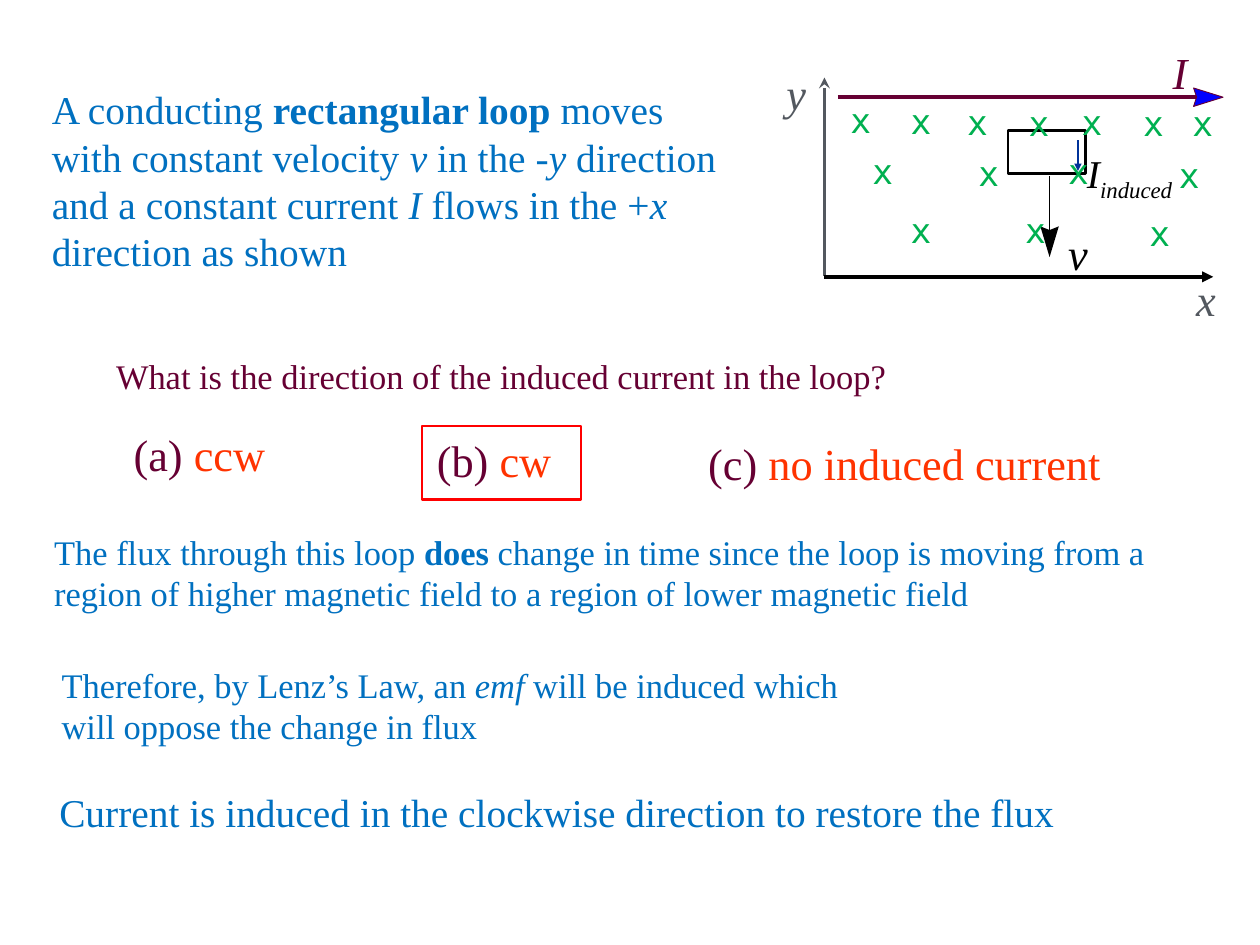
import pptx
import pptx.dml.color
import pptx.enum.shapes
import pptx.enum.text
import pptx.oxml
import pptx.oxml.ns
import pptx.util

COLORS = {
    "blue": "0070C0", "plum": "660033", "orange": "FF3300", "red": "FF0000",
    "gray": "53585F", "black": "000000", "pure_blue": "0000FF",
    "navy": "003399", "green": "00B050",
}
COLUMNS, ROWS = 1024, 768
CELL = pptx.util.Pt(1)
SERIF, MONO = "Times New Roman", "DejaVu Sans Mono"
NARROW, ROOMY, EVEN, NONE = (7.2, 3.6), (11.5, 5.8), (4.3, 4.3), (0, 0)
ITALIC, BOLD = {"italic": True}, {"bold": True}
CROSSES = [
    (53, 34), (102, 35), (148, 36), (198, 36.5), (241, 36), (291, 36.5), (331, 37),
    (71, 76), (157, 77), (230, 76), (320, 79),
    (102, 124), (195, 124), (296, 126),
]


def rgb(name):
    return pptx.dml.color.RGBColor.from_string(COLORS[name])


def cells(*counts):
    return [round(count * CELL) for count in counts]


def inside(box, left, top, width, height):
    return box[0] + left, box[1] + top, width, height


def add_text(page, box, spans, size=36, color="blue", font=SERIF, center=False,
             wrap=False, insets=NARROW, spacing=None, middle=False):
    frame = page.shapes.add_textbox(*cells(*box)).text_frame
    frame.word_wrap = wrap
    frame.auto_size = pptx.enum.text.MSO_AUTO_SIZE.SHAPE_TO_FIT_TEXT
    frame.margin_left = frame.margin_right = cells(insets[0])[0]
    frame.margin_top = frame.margin_bottom = cells(insets[1])[0]
    if middle:
        frame.vertical_anchor = pptx.enum.text.MSO_ANCHOR.MIDDLE
    para = frame.paragraphs[0]
    align = pptx.enum.text.PP_ALIGN
    para.alignment = align.CENTER if center else align.LEFT
    if spacing:
        para.line_spacing = spacing
    for text, style in spans:
        span = para.add_run()
        span.text = text
        span.font.name = font
        span.font.size = pptx.util.Pt(size)
        span.font.bold = style.get("bold", False)
        span.font.italic = style.get("italic", False)
        span.font.color.rgb = rgb(style.get("color", color))
        if "baseline" in style:
            span._r.get_or_add_rPr().set("baseline", style["baseline"])


def add_outline(page, box, color):
    kind = pptx.enum.shapes.MSO_SHAPE.RECTANGLE
    shape = page.shapes.add_shape(kind, *cells(*box))
    shape.shadow.inherit = False
    shape.fill.background()
    shape.line.color.rgb = rgb(color)
    shape.line.width = pptx.util.Pt(2)


def add_line(page, box, start, end, color, weight, head=None):
    kind = pptx.enum.shapes.MSO_CONNECTOR.STRAIGHT
    ends = [box[0] + start[0], box[1] + start[1], box[0] + end[0], box[1] + end[1]]
    line = page.shapes.add_connector(kind, *cells(*ends))
    line.line.color.rgb = rgb(color)
    line.line.width = pptx.util.Pt(weight)
    if head:
        tail = pptx.oxml.parse_xml(
            f'<a:tailEnd {pptx.oxml.ns.nsdecls("a")} type="{head}"/>')
        line.line._get_or_add_ln().append(tail)
    line._element.spPr.append(
        pptx.oxml.parse_xml(f'<a:effectLst {pptx.oxml.ns.nsdecls("a")}/>'))


def add_arrowhead(page, box, points, fill, edge=None):
    corners = [cells(box[0] + x, box[1] + y) for x, y in points]
    builder = page.shapes.build_freeform(*corners[0])
    builder.add_line_segments(corners[1:], close=True)
    shape = builder.convert_to_shape()
    shape.shadow.inherit = False
    shape.fill.solid()
    shape.fill.fore_color.rgb = rgb(fill)
    if edge:
        shape.line.color.rgb = rgb(edge)
        shape.line.width = pptx.util.Pt(0.75)
    else:
        shape.line.fill.background()


def add_problem(page, box):
    add_text(page, box, [
        ("A conducting ", {}), ("rectangular loop ", BOLD),
        ("moves with constant velocity ", {}), ("v", ITALIC),
        (" in the -", {}), ("y", ITALIC),
        (" direction and a constant current ", {}), ("I", ITALIC),
        (" flows in the +", {}), ("x", ITALIC),
        (" direction as shown", {}),
    ], size=32, wrap=True)


def add_question(page, box):
    add_text(page, inside(box, 0, 0, 654, 41),
             [(" What is the direction of the induced current in the loop?", {})],
             size=28, color="plum", center=True)
    answers = [
        (19, 61, 132, "(a) ", "ccw"),
        (266, 66, 117, "(b) ", "cw"),
        (485, 69, 346, "(c)", " no induced current"),
    ]
    for left, top, width, letter, answer in answers:
        add_text(page, inside(box, left, top, width, 51),
                 [(letter, {}), (answer, {"color": "orange"})],
                 color="plum", center=True, insets=ROOMY, spacing=0.9)
    add_outline(page, inside(box, 266, 61, 129, 60), "red")


def add_explanation(page, box):
    add_text(page, inside(box, 0, 0, 949, 75), [
        ("The flux through this loop ", {}), ("does", BOLD),
        (" change in time since the loop is moving from a region of higher "
         "magnetic field to a region of lower magnetic field", {}),
    ], size=28, wrap=True)
    add_text(page, inside(box, 6, 108, 674, 75), [
        ("Therefore, by Lenz’s Law, an ", {}), ("emf", ITALIC),
        (" will be induced which will oppose the change in flux", {}),
    ], size=28, wrap=True)
    add_text(page, inside(box, 0, 209, 832, 46),
             [("Current is induced in the clockwise direction to restore the flux", {})],
             size=32, center=True)


def add_diagram(page, box):
    add_outline(page, inside(box, 192, 64, 63, 35), "black")
    add_line(page, box, (226, 101), (226, 149), "black", 1)
    add_arrowhead(page, box, [(218.5, 142), (226, 145), (233.5, 142), (226, 167)],
                  "black")
    add_line(page, box, (54, 37), (350, 37), "plum", 3)
    add_arrowhead(page, box, [(343, 44.5), (345.5, 37), (343, 29.5), (367, 37)],
                  "pure_blue", "plum")
    add_line(page, box, (43, 182), (43, 21), "gray", 3, "stealth")
    add_line(page, box, (43, 183), (359, 183), "black", 3, "triangle")
    labels = [
        ("x", (333, 179, 40, 50), "gray", ROOMY),
        ("y", (0, 11, 40, 50), "gray", ROOMY),
        ("v", (241, 147, 16, 39), "black", NONE),
        ("I", (326, 0, 12, 39), "plum", NONE),
    ]
    for letter, place, color, insets in labels:
        add_text(page, inside(box, *place), [(letter, ITALIC)], color=color,
                 center=True, insets=insets, spacing=0.89)
    add_line(page, box, (249, 72), (249, 97), "navy", 1.5, "triangle")
    add_text(page, inside(box, 244, 76, 94, 46),
             [("I", ITALIC), ("induced", {"italic": True, "baseline": "-25000"})],
             size=32, color="black", center=True)
    for left, top in CROSSES:
        add_text(page, inside(box, left, top, 39, 42), [("x", {})], size=28,
                 color="green", font=MONO, center=True, wrap=True, insets=EVEN,
                 middle=True)


def main():
    deck = pptx.Presentation()
    deck.slide_width, deck.slide_height = cells(COLUMNS, ROWS)
    page = deck.slides.add_slide(deck.slide_layouts[6])
    add_question(page, (77, 285, 831, 121))
    add_explanation(page, (37, 428, 949, 255))
    add_problem(page, (35, 66, 574, 163))
    add_diagram(page, (627, 42, 373, 230))
    deck.save("out.pptx")


if __name__ == "__main__":
    main()
